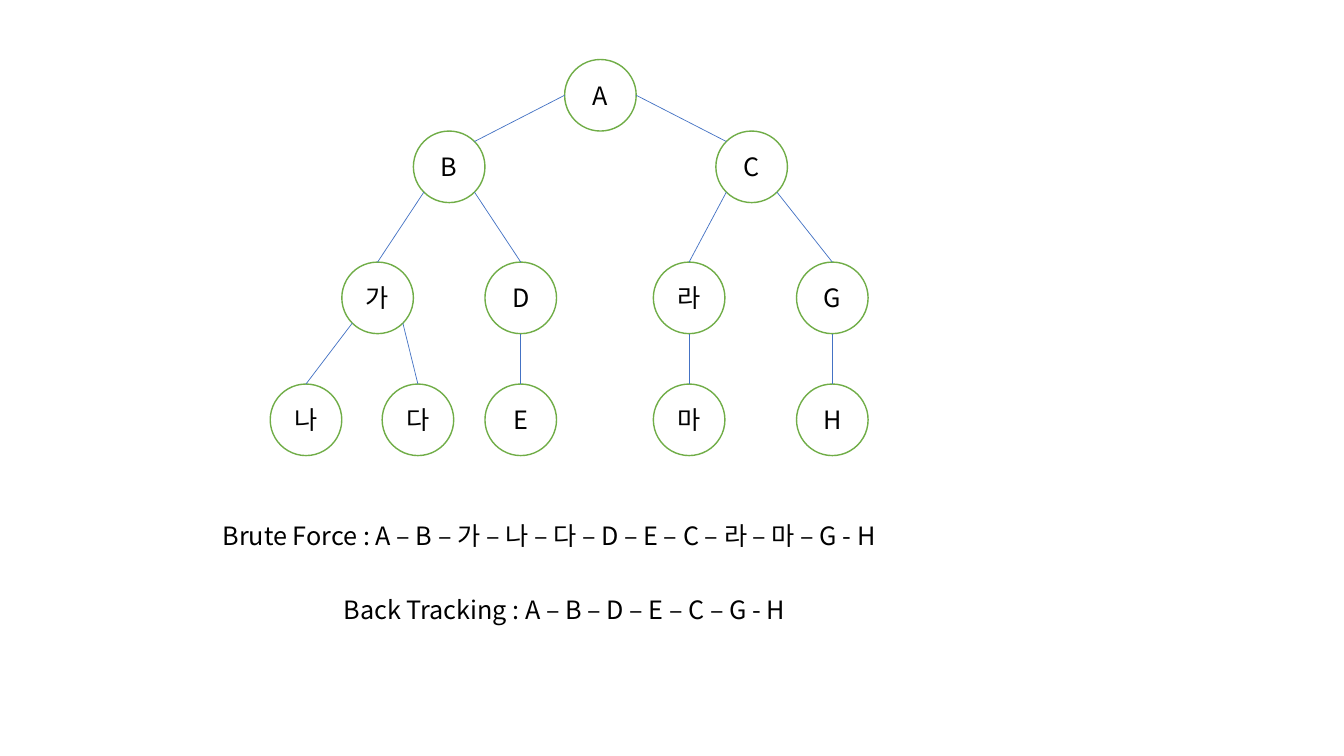
import math
from dataclasses import dataclass
from enum import Enum

from lxml import etree
from pptx import Presentation
from pptx import util as u
from pptx.dml import color
from pptx.enum import shapes, text
from pptx.oxml import ns
from pptx.slide import Slide
from pptx.text.text import TextFrame


@dataclass(frozen=True)
class Theme:
    face: str = "Noto Sans CJK KR"
    size: u.Length = u.Pt(18)
    ink: color.RGBColor = color.RGBColor(0, 0, 0)
    node_fill: color.RGBColor = color.RGBColor(0xFF, 0xFF, 0xFF)
    node_line: color.RGBColor = color.RGBColor(0x70, 0xAD, 0x47)
    node_width: u.Length = u.Pt(1)
    edge_line: color.RGBColor = color.RGBColor(0x44, 0x72, 0xC4)
    edge_width: u.Length = u.Pt(0.5)


class Port(Enum):
    RIGHT = 0
    BOTTOM_RIGHT = 45
    BOTTOM = 90
    BOTTOM_LEFT = 135
    LEFT = 180
    TOP_LEFT = 225
    TOP = 270
    TOP_RIGHT = 315


@dataclass(frozen=True)
class Node:
    label: str
    left: float
    top: float

    def port(self, port: Port) -> tuple[u.Length, u.Length]:
        angle = math.radians(port.value)
        radius = DIAMETER / 2
        return (u.Inches(self.left + radius * (1 + math.cos(angle))),
                u.Inches(self.top + radius * (1 + math.sin(angle))))


@dataclass(frozen=True)
class Edge:
    parent: str
    child: str
    leaves: Port = Port.BOTTOM
    enters: Port = Port.TOP


@dataclass(frozen=True)
class Traversal:
    method: str
    order: str
    left: float
    top: float
    width: float


THEME = Theme()
DIAMETER = 0.71
LEVELS = (0.59, 1.3, 2.6, 3.81)
ROWS = (
    {"A": 5.6},
    {"B": 4.1, "C": 7.1},
    {"가": 3.39, "D": 4.81, "라": 6.48, "G": 7.9},
    {"나": 2.68, "다": 3.79, "E": 4.81, "마": 6.48, "H": 7.9},
)
NODES = {label: Node(label, left, top)
         for top, row in zip(LEVELS, ROWS) for label, left in row.items()}
EDGES = (
    Edge("A", "B", Port.LEFT, Port.TOP_RIGHT),
    Edge("A", "C", Port.RIGHT, Port.TOP_LEFT),
    Edge("B", "가", Port.BOTTOM_LEFT),
    Edge("B", "D", Port.BOTTOM_RIGHT),
    Edge("C", "라", Port.BOTTOM_LEFT),
    Edge("C", "G", Port.BOTTOM_RIGHT),
    Edge("가", "나", Port.BOTTOM_LEFT),
    Edge("가", "다", Port.BOTTOM_RIGHT),
    Edge("D", "E"),
    Edge("라", "마"),
    Edge("G", "H"),
)
TRAVERSALS = (
    Traversal("Brute Force", "A – B – 가 – 나 – 다 – D – E – C – 라 – 마 – G - H",
              2.11, 5.11, 9.98),
    Traversal("Back Tracking", "A – B – D – E – C – G - H", 3.31, 5.85, 7.76),
)


def write(frame: TextFrame, words: str, align: text.PP_ALIGN) -> None:
    paragraph = frame.paragraphs[0]
    paragraph.alignment = align
    run = paragraph.add_run()
    run.text = words
    for attribute, value in {"size": THEME.size, "name": THEME.face}.items():
        setattr(run.font, attribute, value)
    run.font.color.rgb = THEME.ink
    east_asian = etree.SubElement(run.font._element, ns.qn("a:ea"))
    east_asian.set("typeface", THEME.face)


def draw_node(slide: Slide, node: Node) -> None:
    circle = slide.shapes.add_shape(
        shapes.MSO_SHAPE.OVAL, u.Inches(node.left), u.Inches(node.top),
        u.Inches(DIAMETER), u.Inches(DIAMETER))
    circle.shadow.inherit = False
    circle.fill.solid()
    circle.fill.fore_color.rgb = THEME.node_fill
    circle.line.color.rgb = THEME.node_line
    circle.line.width = THEME.node_width
    circle.text_frame.vertical_anchor = text.MSO_ANCHOR.MIDDLE
    write(circle.text_frame, node.label, text.PP_ALIGN.CENTER)


def draw_edge(slide: Slide, edge: Edge) -> None:
    start = NODES[edge.child].port(edge.enters)
    end = NODES[edge.parent].port(edge.leaves)
    branch = slide.shapes.add_connector(shapes.MSO_CONNECTOR.STRAIGHT, *start, *end)
    branch.line.color.rgb = THEME.edge_line
    branch.line.width = THEME.edge_width
    etree.SubElement(branch._element.spPr, ns.qn("a:effectLst"))


def draw_traversal(slide: Slide, traversal: Traversal) -> None:
    caption = slide.shapes.add_textbox(
        u.Inches(traversal.left), u.Inches(traversal.top),
        u.Inches(traversal.width), u.Inches(0.4))
    frame_format = {"word_wrap": True, "auto_size": text.MSO_AUTO_SIZE.SHAPE_TO_FIT_TEXT}
    for attribute, value in frame_format.items():
        setattr(caption.text_frame, attribute, value)
    write(caption.text_frame, f"{traversal.method} : {traversal.order}", text.PP_ALIGN.LEFT)


def main() -> None:
    deck = Presentation()
    deck.slide_width = u.Inches(13.33)
    deck.slide_height = u.Inches(7.5)
    slide = deck.slides.add_slide(deck.slide_layouts.get_by_name("Blank"))
    for node in NODES.values():
        draw_node(slide, node)
    for edge in EDGES:
        draw_edge(slide, edge)
    for traversal in TRAVERSALS:
        draw_traversal(slide, traversal)
    deck.save("out.pptx")


if __name__ == "__main__":
    main()
